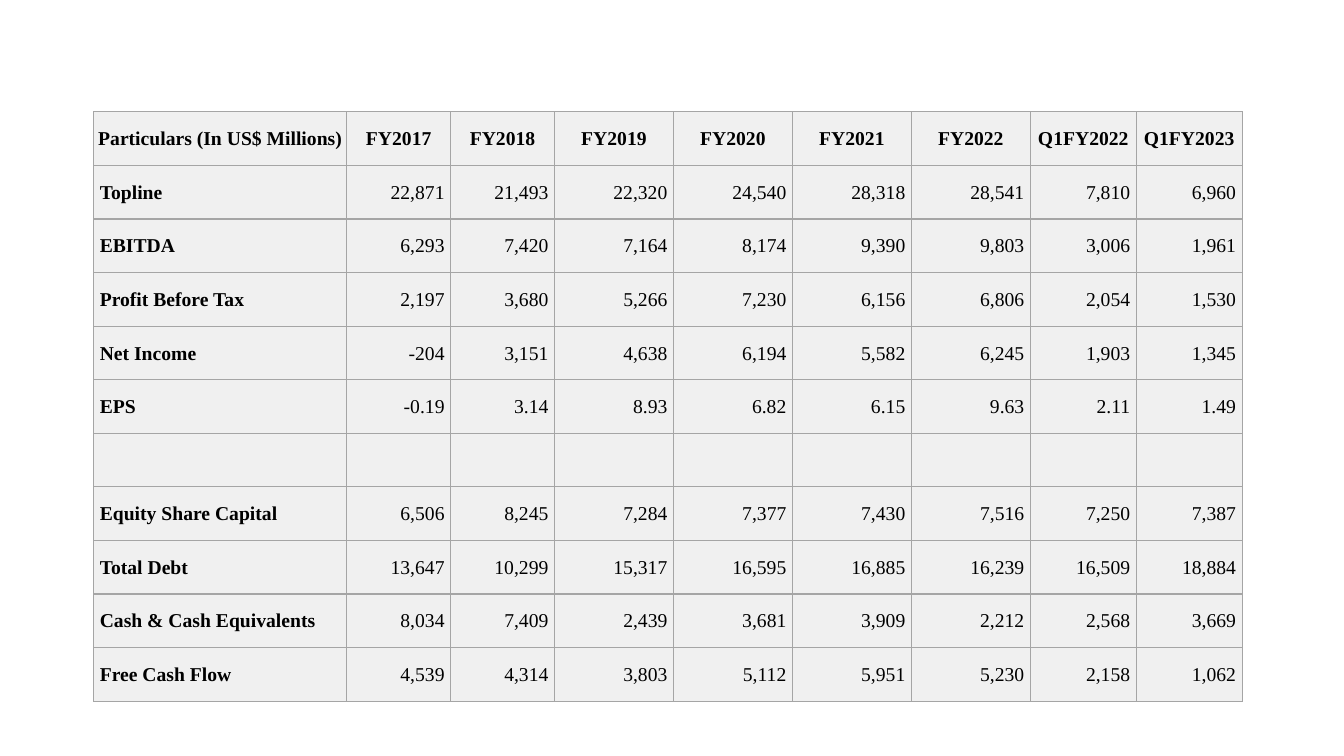
from lxml import etree
from pptx import Presentation
from pptx import util as u
from pptx.dml.color import RGBColor
from pptx.enum import text
from pptx.oxml.ns import qn

# Content
HEADER = ("Particulars (In US$ Millions)", "FY2017", "FY2018", "FY2019", "FY2020",
          "FY2021", "FY2022", "Q1FY2022", "Q1FY2023")
BLANK = ("",) * len(HEADER)
ROWS = [
    HEADER,
    ("Topline", "22,871", "21,493", "22,320", "24,540", "28,318", "28,541", "7,810", "6,960"),
    ("EBITDA", "6,293", "7,420", "7,164", "8,174", "9,390", "9,803", "3,006", "1,961"),
    ("Profit Before Tax", "2,197", "3,680", "5,266", "7,230", "6,156", "6,806", "2,054", "1,530"),
    ("Net Income", "-204", "3,151", "4,638", "6,194", "5,582", "6,245", "1,903", "1,345"),
    ("EPS", "-0.19", "3.14", "8.93", "6.82", "6.15", "9.63", "2.11", "1.49"),
    BLANK,
    ("Equity Share Capital", "6,506", "8,245", "7,284", "7,377", "7,430", "7,516", "7,250", "7,387"),
    ("Total Debt", "13,647", "10,299", "15,317", "16,595", "16,885", "16,239", "16,509", "18,884"),
    ("Cash & Cash Equivalents", "8,034", "7,409", "2,439", "3,681", "3,909", "2,212", "2,568", "3,669"),
    ("Free Cash Flow", "4,539", "4,314", "3,803", "5,112", "5,951", "5,230", "2,158", "1,062"),
]
COL_WIDTHS = [2.51] + [1.03] * 2 + [1.18] * 4 + [1.05] * 2
LEFT, TOP, HEIGHT = 0.93, 1.11, 5.85
FILL, BORDER, INK = "F0F0F0", "A5A5A5", "000000"
FONT, SIZE = "Times New Roman", 14


def color(value):
    return RGBColor.from_string(value)


def add_borders(cell):
    tc_pr = cell._tc.get_or_add_tcPr()
    for side in ("lnL", "lnR", "lnT", "lnB"):
        ln = etree.SubElement(tc_pr, qn("a:" + side), w=str(u.Pt(1)))
        solid = etree.SubElement(ln, qn("a:solidFill"))
        etree.SubElement(solid, qn("a:srgbClr"), val=BORDER)


def fill_cell(cell, value, row, col):
    # Borders come before the fill in the cell properties
    add_borders(cell)
    cell.fill.solid()
    cell.fill.fore_color.rgb = color(FILL)
    cell.vertical_anchor = text.MSO_ANCHOR.MIDDLE
    cell.margin_left = cell.margin_right = u.Inches(0.01 if row == 0 else 0.06)
    cell.margin_top, cell.margin_bottom = u.Inches(0.01), 0

    p = cell.text_frame.paragraphs[0]
    p.text = value
    p.font.name, p.font.size = FONT, u.Pt(SIZE)
    p.font.bold = row == 0 or col == 0
    p.font.color.rgb = color(INK)
    if row == 0:
        p.alignment = text.PP_ALIGN.CENTER
    else:
        p.alignment = text.PP_ALIGN.LEFT if col == 0 else text.PP_ALIGN.RIGHT


# Slide
prs = Presentation()
prs.slide_width, prs.slide_height = u.Inches(13.33), u.Inches(7.5)
s = prs.slides.add_slide(prs.slide_layouts[6])

# Financial table
table = s.shapes.add_table(len(ROWS), len(HEADER), u.Inches(LEFT), u.Inches(TOP),
                           u.Inches(sum(COL_WIDTHS)), u.Inches(HEIGHT)).table
table.first_row = table.horz_banding = False
for column, width in zip(table.columns, COL_WIDTHS):
    column.width = u.Inches(width)
for r, values in enumerate(ROWS):
    for c, value in enumerate(values):
        fill_cell(table.cell(r, c), value, r, c)

prs.save("out.pptx")
